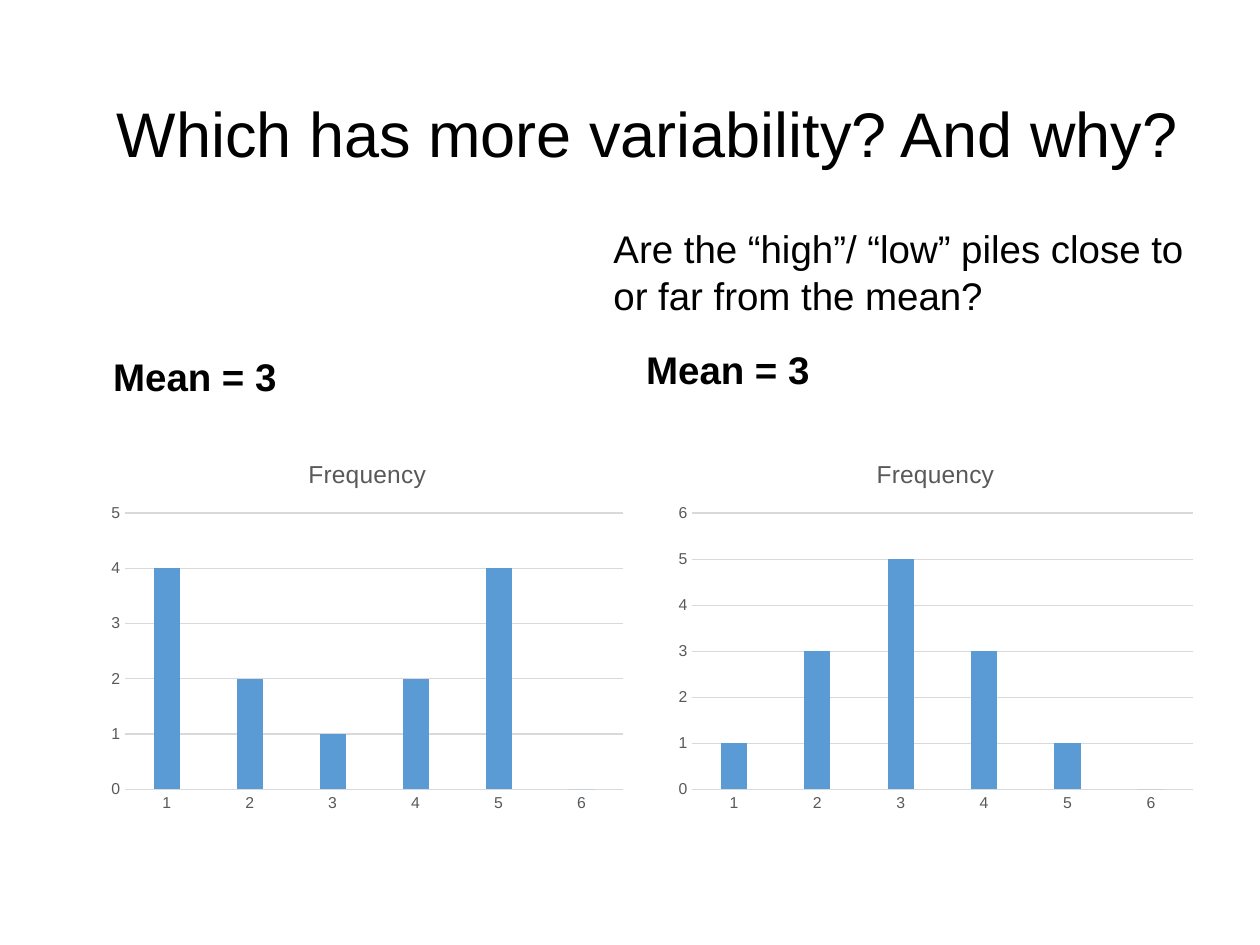
import pptx
import pptx.chart.data
import pptx.dml.color
import pptx.enum.chart
import pptx.enum.text
import pptx.util

Inches = pptx.util.Inches
Pt = pptx.util.Pt
Anchor = pptx.enum.text.MSO_ANCHOR
Tick = pptx.enum.chart.XL_TICK_MARK

FONT = "Arial"
BLACK, GRAY, RULE, BLUE = "000000", "595959", "D9D9D9", "5B9BD5"


def color(hex_value):
    return pptx.dml.color.RGBColor.from_string(hex_value)


def set_values(target, values):
    for name, value in values.items():
        setattr(target, name, value)


def style_font(font, size, hex_value=BLACK, bold=False):
    set_values(font, {"name": FONT, "size": Pt(size), "bold": bold})
    font.color.rgb = color(hex_value)


def style_line(line, hex_value):
    line.color.rgb = color(hex_value)
    line.width = Pt(0.75)


def add_text(slide, box, lines, size, anchor, bold=False, wrap=True, spacing=None):
    shape = slide.shapes.add_textbox(*map(Inches, box))
    frame = shape.text_frame
    set_values(frame, {"word_wrap": wrap, "vertical_anchor": anchor})
    for index, line in enumerate(lines):
        paragraph = frame.add_paragraph() if index else frame.paragraphs[0]
        if spacing:
            paragraph.line_spacing = spacing
        run = paragraph.add_run()
        run.text = line
        style_font(run.font, size, bold=bold)


def add_frequency_chart(slide, box, values, maximum):
    data = pptx.chart.data.CategoryChartData()
    data.categories = [str(number) for number in range(1, len(values) + 1)]
    data.add_series("Frequency", values)
    kind = pptx.enum.chart.XL_CHART_TYPE.COLUMN_CLUSTERED
    chart = slide.shapes.add_chart(kind, *map(Inches, box), data).chart
    style_font(chart.font, 10)
    set_values(chart, {"has_legend": False, "has_title": True})

    # Title
    title = chart.chart_title
    title.include_in_layout = False
    title.text_frame.text = "Frequency"
    style_font(title.text_frame.paragraphs[0].runs[0].font, 14, GRAY)

    # Columns
    plot = chart.plots[0]
    set_values(plot, {"gap_width": 219, "overlap": -27, "vary_by_categories": False})
    fill = plot.series[0].format.fill
    fill.solid()
    fill.fore_color.rgb = color(BLUE)

    # Axes
    for axis in (chart.category_axis, chart.value_axis):
        set_values(axis, {"major_tick_mark": Tick.NONE, "minor_tick_mark": Tick.NONE})
        style_font(axis.tick_labels.font, 9, GRAY)
    style_line(chart.category_axis.format.line, RULE)
    value_axis = chart.value_axis
    set_values(value_axis, {"minimum_scale": 0, "maximum_scale": maximum,
                            "major_unit": 1, "has_major_gridlines": True})
    value_axis.format.line.fill.background()
    style_line(value_axis.major_gridlines.format.line, RULE)


def add_comparison_slide(presentation):
    slide = presentation.slides.add_slide(presentation.slide_layouts[6])

    # Heading and question
    add_text(slide, (0.83, 0.54, 8.72, 1.09), ["Which has more variability? And why?"],
             36, Anchor.MIDDLE, spacing=0.9)
    add_text(slide, (4.77, 1.74, 4.79, 0.84),
             ["Are the “high”/ “low” piles close to", "or far from the mean?"],
             22, Anchor.TOP, wrap=False)

    # Two distributions with the same mean
    distributions = [
        ((0.8, 2.74, 4.23, 0.48), (0.8, 3.49, 4.23, 3.02), (4, 2, 1, 2, 4, 0), 5),
        ((5.03, 2.6, 4.25, 0.57), (5.3, 3.49, 4.25, 3.02), (1, 3, 5, 3, 1, 0), 6),
    ]
    for label_box, chart_box, values, maximum in distributions:
        add_text(slide, label_box, ["Mean = 3"], 22, Anchor.BOTTOM, bold=True, spacing=0.9)
        add_frequency_chart(slide, chart_box, values, maximum)


presentation = pptx.Presentation()
set_values(presentation, {"slide_width": Inches(10), "slide_height": Inches(7.5)})
add_comparison_slide(presentation)
presentation.save("out.pptx")
